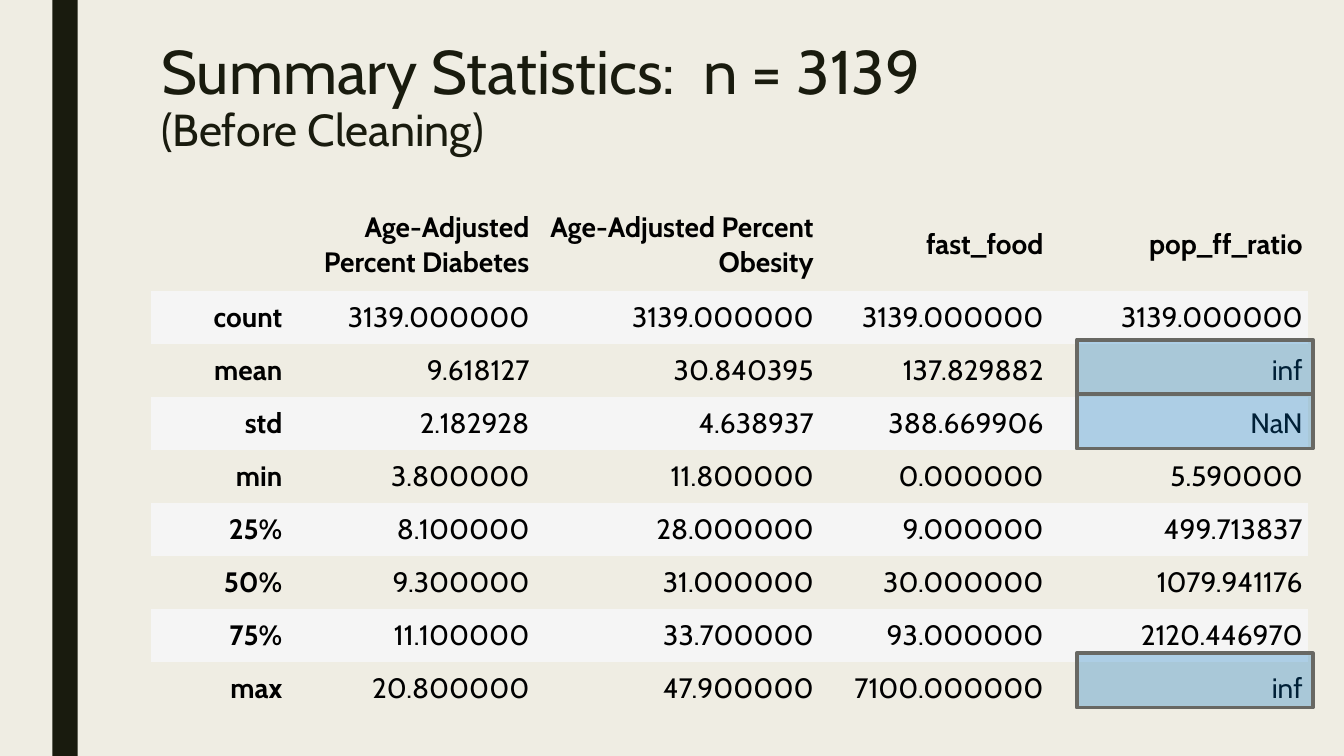
from lxml import etree
from pptx import Presentation
from pptx import util as u
from pptx.dml.color import RGBColor
from pptx.enum import shapes, text
from pptx.oxml import ns

COLORS = {
    "background": "EFEDE3",
    "dark": "191B0E",
    "band": "F5F5F5",
    "black": "000000",
    "highlight": "0070C0",
    "outline": "686863",
}
HEADERS = ["", "Age-Adjusted Percent Diabetes", "Age-Adjusted Percent Obesity",
           "fast_food", "pop_ff_ratio"]
STATISTICS = [
    ["count", "3139.000000", "3139.000000", "3139.000000", "3139.000000"],
    ["mean", "9.618127", "30.840395", "137.829882", "inf"],
    ["std", "2.182928", "4.638937", "388.669906", "NaN"],
    ["min", "3.800000", "11.800000", "0.000000", "5.590000"],
    ["25%", "8.100000", "28.000000", "9.000000", "499.713837"],
    ["50%", "9.300000", "31.000000", "30.000000", "1079.941176"],
    ["75%", "11.100000", "33.700000", "93.000000", "2120.446970"],
    ["max", "20.800000", "47.900000", "7100.000000", "inf"],
]
COLUMN_WIDTHS = [1.35, 2.45, 2.82, 2.28, 2.57]
HEADER_HEIGHT, ROW_HEIGHT = 0.92, 0.525
NO_GRID_STYLE = "{2D5ABB26-0587-4C30-8999-92F81FD0307C}"


def write(paragraph, words, size=20, color="black", bold=False, align=None):
    paragraph.alignment = align
    run = paragraph.add_run()
    run.text = words
    run.font.name = "Cabin"
    run.font.size = u.Pt(size)
    run.font.bold = bold
    run.font.color.rgb = RGBColor.from_string(COLORS[color])


def add_box(left, top, width, height, color):
    box = slide.shapes.add_shape(
        shapes.MSO_SHAPE.RECTANGLE,
        u.Inches(left), u.Inches(top), u.Inches(width), u.Inches(height))
    box.shadow.inherit = False
    box.fill.solid()
    box.fill.fore_color.rgb = RGBColor.from_string(COLORS[color])
    box.line.fill.background()
    return box


prs = Presentation()
prs.slide_width, prs.slide_height = u.Inches(13.33), u.Inches(7.5)
slide = prs.slides.add_slide(prs.slide_layouts[6])
slide.background.fill.solid()
slide.background.fill.fore_color.rgb = RGBColor.from_string(COLORS["background"])

add_box(0.52, 0, 0.25, 7.5, "dark")

summary = slide.shapes.add_table(
    len(STATISTICS) + 1, len(HEADERS), u.Inches(1.5), u.Inches(1.97),
    u.Inches(sum(COLUMN_WIDTHS)),
    u.Inches(HEADER_HEIGHT + ROW_HEIGHT * len(STATISTICS))).table
summary.first_row = True
summary.horz_banding = False
summary._tbl.tblPr.find(ns.qn("a:tableStyleId")).text = NO_GRID_STYLE
for column, width in zip(summary.columns, COLUMN_WIDTHS):
    column.width = u.Inches(width)

for r, values in enumerate([HEADERS] + STATISTICS):
    summary.rows[r].height = u.Inches(ROW_HEIGHT if r else HEADER_HEIGHT)
    for c, value in enumerate(values):
        cell = summary.cell(r, c)
        cell.margin_left = cell.margin_right = u.Inches(0.05)
        cell.margin_top = cell.margin_bottom = u.Inches(0.05)
        cell.vertical_anchor = text.MSO_ANCHOR.MIDDLE
        if r % 2:
            cell.fill.solid()
            cell.fill.fore_color.rgb = RGBColor.from_string(COLORS["band"])
        else:
            cell.fill.background()
        if value:
            write(cell.text_frame.paragraphs[0], value,
                  bold=r == 0 or c == 0, align=text.PP_ALIGN.RIGHT)

title = slide.shapes.add_textbox(
    u.Inches(1.5), u.Inches(0.37), u.Inches(10.58), u.Inches(1.42)).text_frame
title.word_wrap = True
heading = title.paragraphs[0]
heading.line_spacing = 0.89
write(heading, "Summary Statistics:  n = 3139", size=44, color="dark")
heading.add_line_break()
write(heading, "(Before Cleaning)", size=32, color="dark")

for top in (3.37, 3.91, 6.48):
    invalid = add_box(10.68, top, 2.34, 0.54, "highlight")
    invalid.line.color.rgb = RGBColor.from_string(COLORS["outline"])
    invalid.line.width = u.Pt(2.75)
    tint = invalid.fill._xPr.find(ns.qn("a:solidFill"))[0]
    etree.SubElement(tint, ns.qn("a:alpha"), val="29000")

prs.save("out.pptx")
